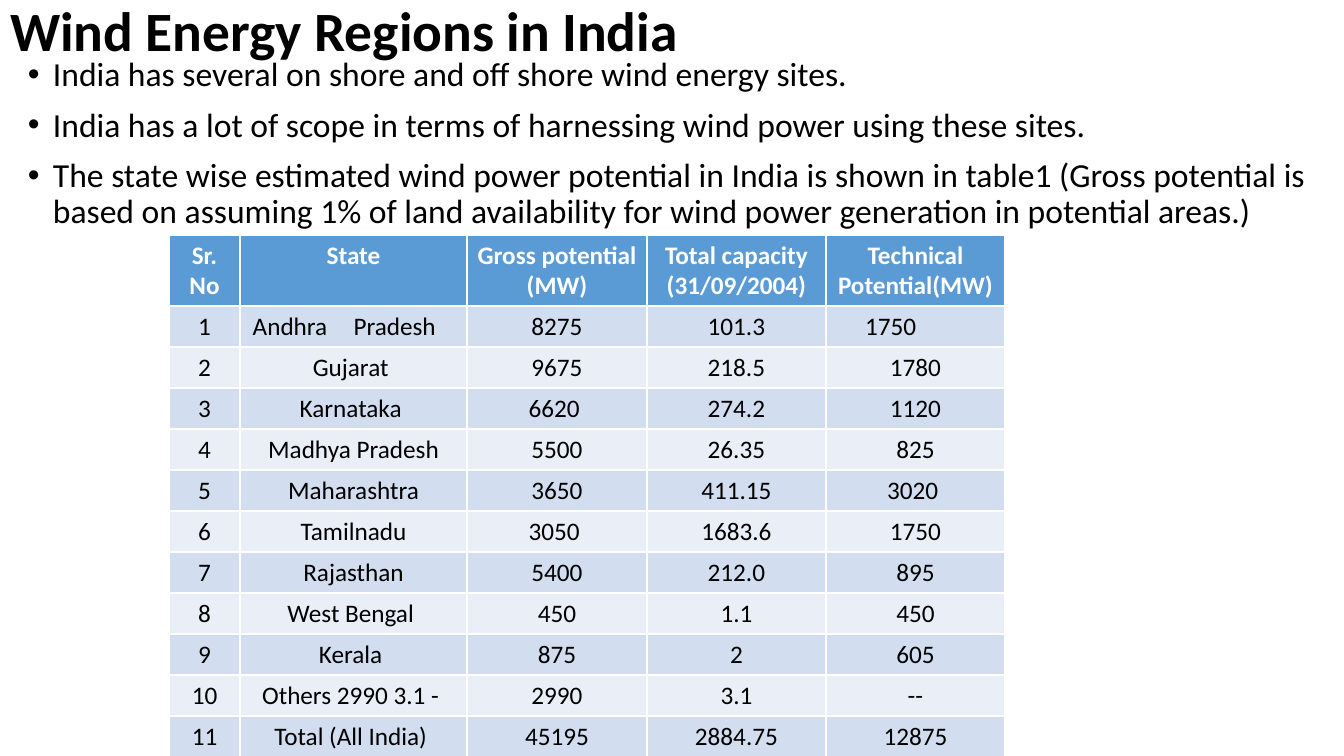
from lxml.etree import SubElement
from pptx import Presentation
from pptx.dml.color import RGBColor
from pptx.enum.text import MSO_ANCHOR, MSO_AUTO_SIZE, PP_ALIGN
from pptx.oxml.ns import qn
from pptx.util import Emu, Pt

BLACK = RGBColor(0x00, 0x00, 0x00)
WHITE = RGBColor(0xFF, 0xFF, 0xFF)
HEADER_BLUE = RGBColor(0x5B, 0x9B, 0xD5)
BAND_DARK = RGBColor(0xD2, 0xDE, 0xEF)
BAND_LIGHT = RGBColor(0xEA, 0xEF, 0xF7)

TITLE_FONT = {"name": "Calibri", "size": Pt(39.6), "bold": True}
BODY_FONT = {"name": "Calibri", "size": Pt(24), "bold": False}
HEADER_FONT = {"name": "Calibri", "size": Pt(18), "bold": True}
CELL_FONT = {"name": "Calibri", "size": Pt(18), "bold": False}

BULLETS = [
    "India has several on shore and off shore wind energy sites.",
    "India has a lot of scope in terms of harnessing wind power using these sites.",
    "The state wise estimated wind power potential in India is shown in table1 "
    "(Gross potential is based on assuming 1% of land availability for wind power "
    "generation in potential areas.)",
]
HEADERS = ["Sr. No", "State", "Gross potential (MW)",
           "Total capacity\n(31/09/2004)", "Technical Potential(MW)"]
STATES = [
    ("Andhra \tPradesh \t", "8275", "101.3", "1750 \t"),
    ("Gujarat ", "9675", "218.5", "1780"),
    ("Karnataka ", "6620 ", "274.2", "1120"),
    ("Madhya Pradesh", "5500", "26.35", "825"),
    ("Maharashtra", "3650", "411.15", "3020 "),
    ("Tamilnadu", "3050 ", "1683.6", "1750"),
    ("Rajasthan", "5400", "212.0", "895"),
    ("West Bengal ", "450", "1.1", "450"),
    ("Kerala ", "875", "2", "605"),
    ("Others 2990 3.1 - ", "2990", "3.1", "--"),
    ("Total (All India) ", "45195", "2884.75", "12875"),
]
COLUMN_WIDTHS = [71, 227, 180, 179, 179]
HEADER_HEIGHT = 71
ROW_HEIGHT = 41


def px(n):
    return Emu(round(n * 914400 / 100.8))


def set_attrs(obj, values):
    for name, value in values.items():
        setattr(obj, name, value)


def add_run(p, text, font, color):
    r = p.add_run()
    r.text = text
    set_attrs(r.font, font)
    r.font.color.rgb = color


def add_title(s, text):
    sp = s.shapes.title
    set_attrs(sp, {"left": px(0), "top": px(0),
                   "width": px(1159), "height": px(68)})
    tf = sp.text_frame
    set_attrs(tf, {"word_wrap": True, "auto_size": MSO_AUTO_SIZE.NONE,
                   "vertical_anchor": MSO_ANCHOR.MIDDLE})
    p = tf.paragraphs[0]
    set_attrs(p, {"alignment": PP_ALIGN.LEFT, "line_spacing": 0.9})
    add_run(p, text, TITLE_FONT, BLACK)


def add_bullets(s, texts):
    tf = s.shapes.add_textbox(px(18), px(53), px(1326), px(674)).text_frame
    tf.word_wrap = True
    for i, text in enumerate(texts):
        p = tf.add_paragraph() if i else tf.paragraphs[0]
        pPr = p._p.get_or_add_pPr()
        pPr.set("marL", str(px(25)))
        pPr.set("indent", str(px(-25)))
        SubElement(pPr, qn("a:buFont")).set("typeface", "Arial")
        SubElement(pPr, qn("a:buChar")).set("char", "•")
        set_attrs(p, {"line_spacing": 0.9, "space_before": Pt(10 if i else 0)})
        add_run(p, text, BODY_FONT, BLACK)


def fill_cell(cell, text, font, color, background):
    cell.fill.solid()
    cell.fill.fore_color.rgb = background
    tf = cell.text_frame
    for i, line in enumerate(text.split("\n")):
        p = tf.add_paragraph() if i else tf.paragraphs[0]
        p.alignment = PP_ALIGN.CENTER
        add_run(p, line, font, color)


def add_potential_table(s):
    height = HEADER_HEIGHT + ROW_HEIGHT * len(STATES)
    table = s.shapes.add_table(len(STATES) + 1, len(HEADERS), px(169), px(235),
                               px(sum(COLUMN_WIDTHS)), px(height)).table
    for column, width in zip(table.columns, COLUMN_WIDTHS):
        column.width = px(width)
    for i, row in enumerate(table.rows):
        row.height = px(ROW_HEIGHT if i else HEADER_HEIGHT)
    for cell, text in zip(table.rows[0].cells, HEADERS):
        fill_cell(cell, text, HEADER_FONT, WHITE, HEADER_BLUE)
    for number, values in enumerate(STATES, 1):
        band = BAND_DARK if number % 2 else BAND_LIGHT
        for cell, text in zip(table.rows[number].cells, (str(number), *values)):
            fill_cell(cell, text, CELL_FONT, BLACK, band)


def main():
    prs = Presentation()
    set_attrs(prs, {"slide_width": px(1344), "slide_height": px(756)})
    s = prs.slides.add_slide(prs.slide_layouts[5])
    add_title(s, "Wind Energy Regions in India")
    add_bullets(s, BULLETS)
    add_potential_table(s)
    prs.save("out.pptx")


if __name__ == "__main__":
    main()
